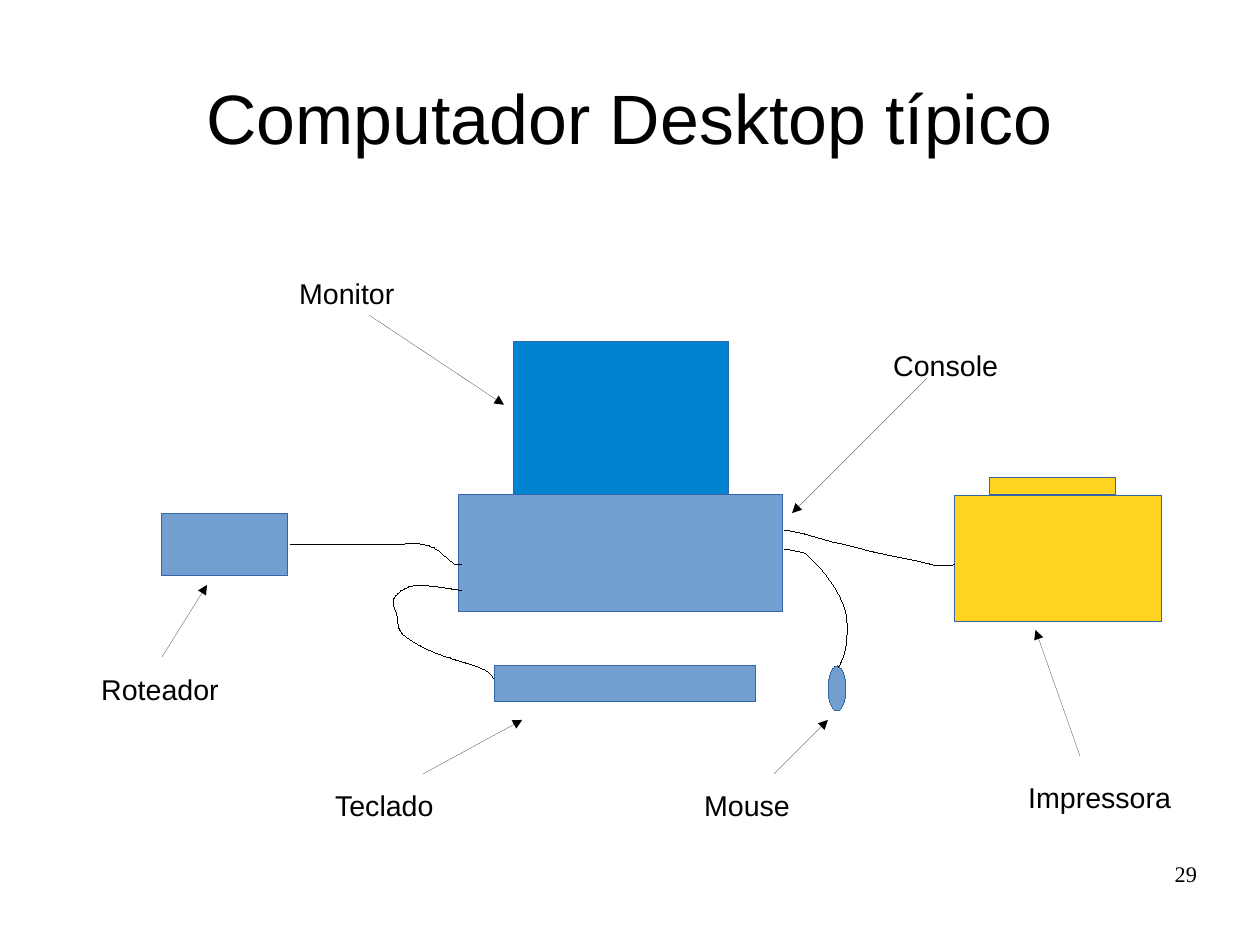
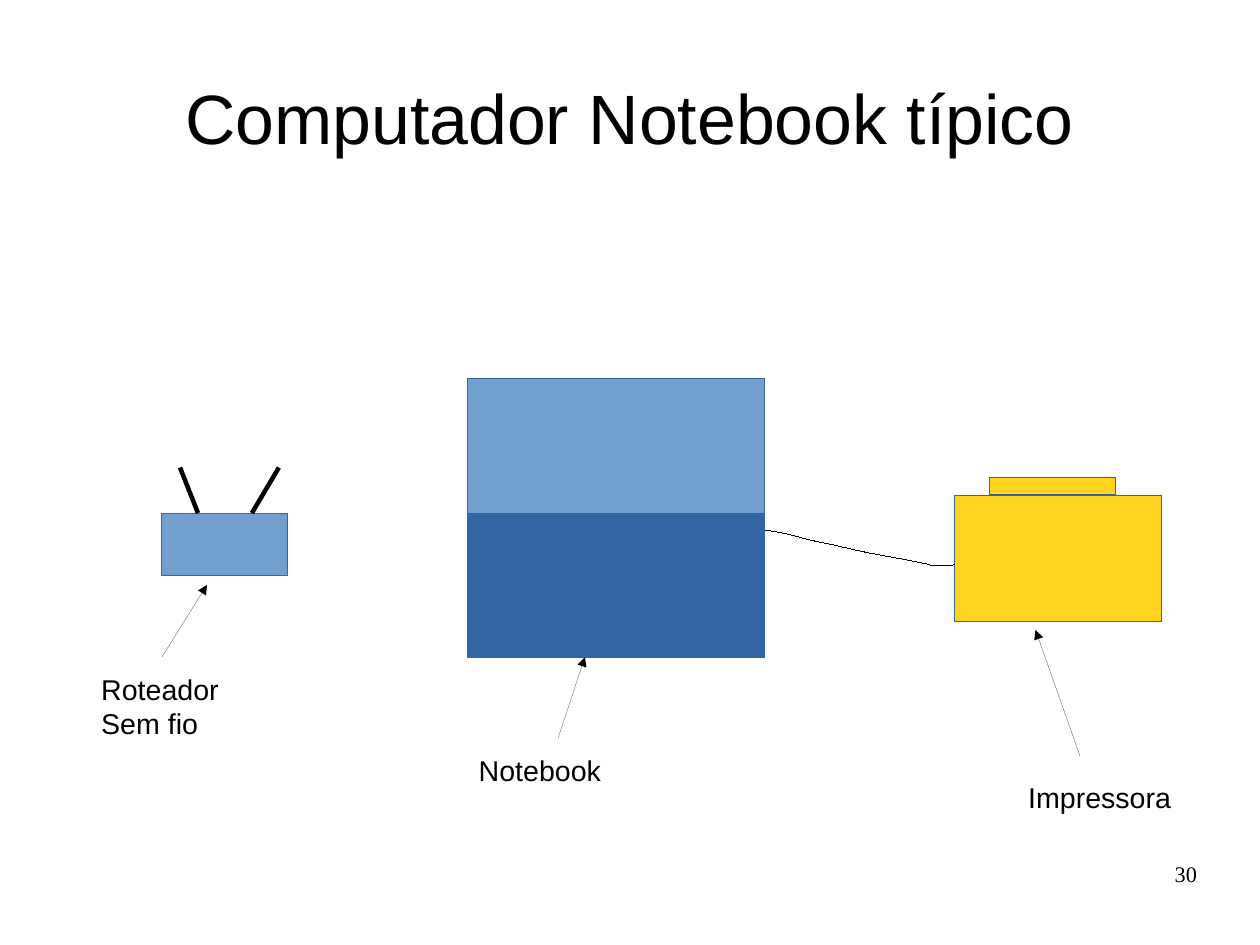
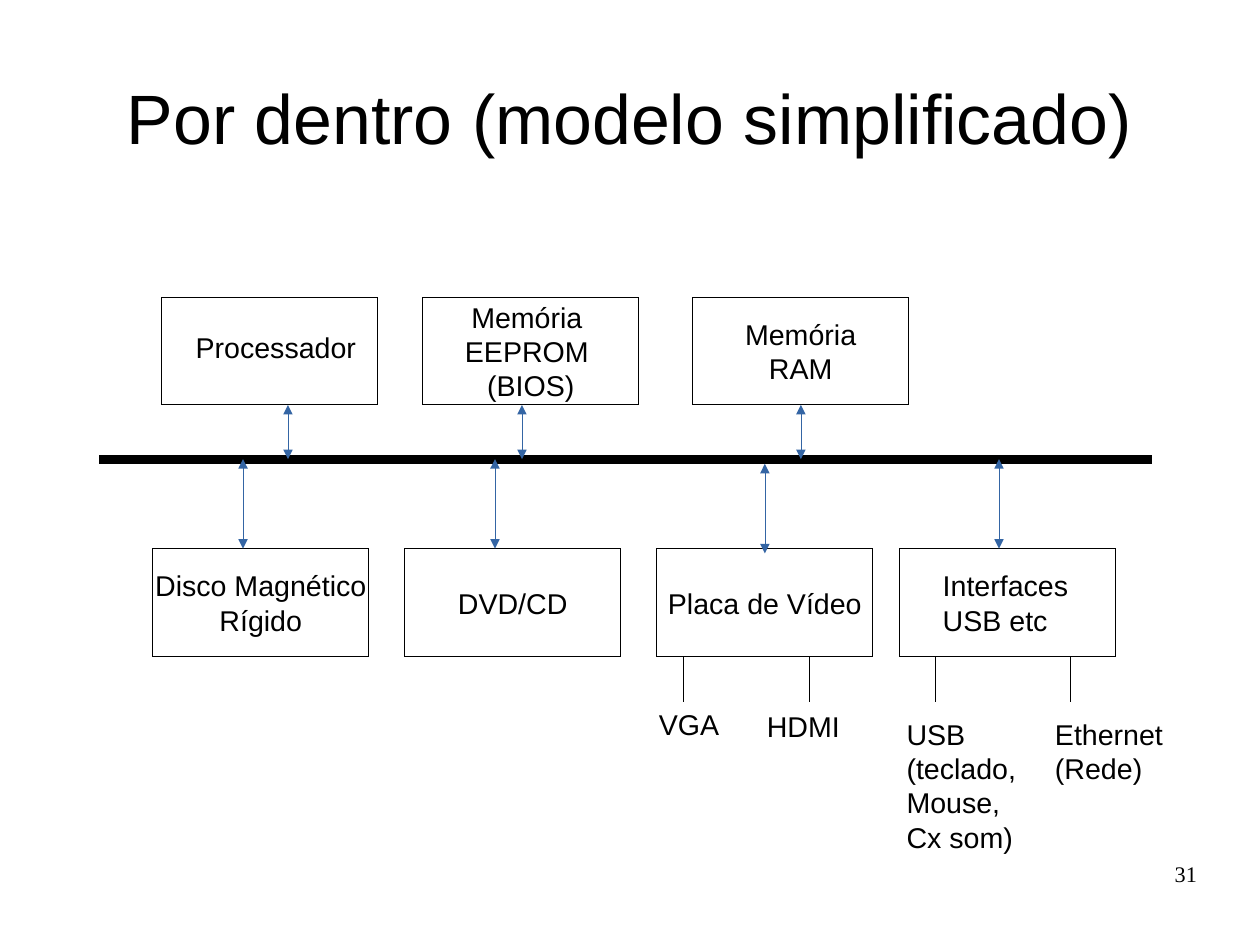
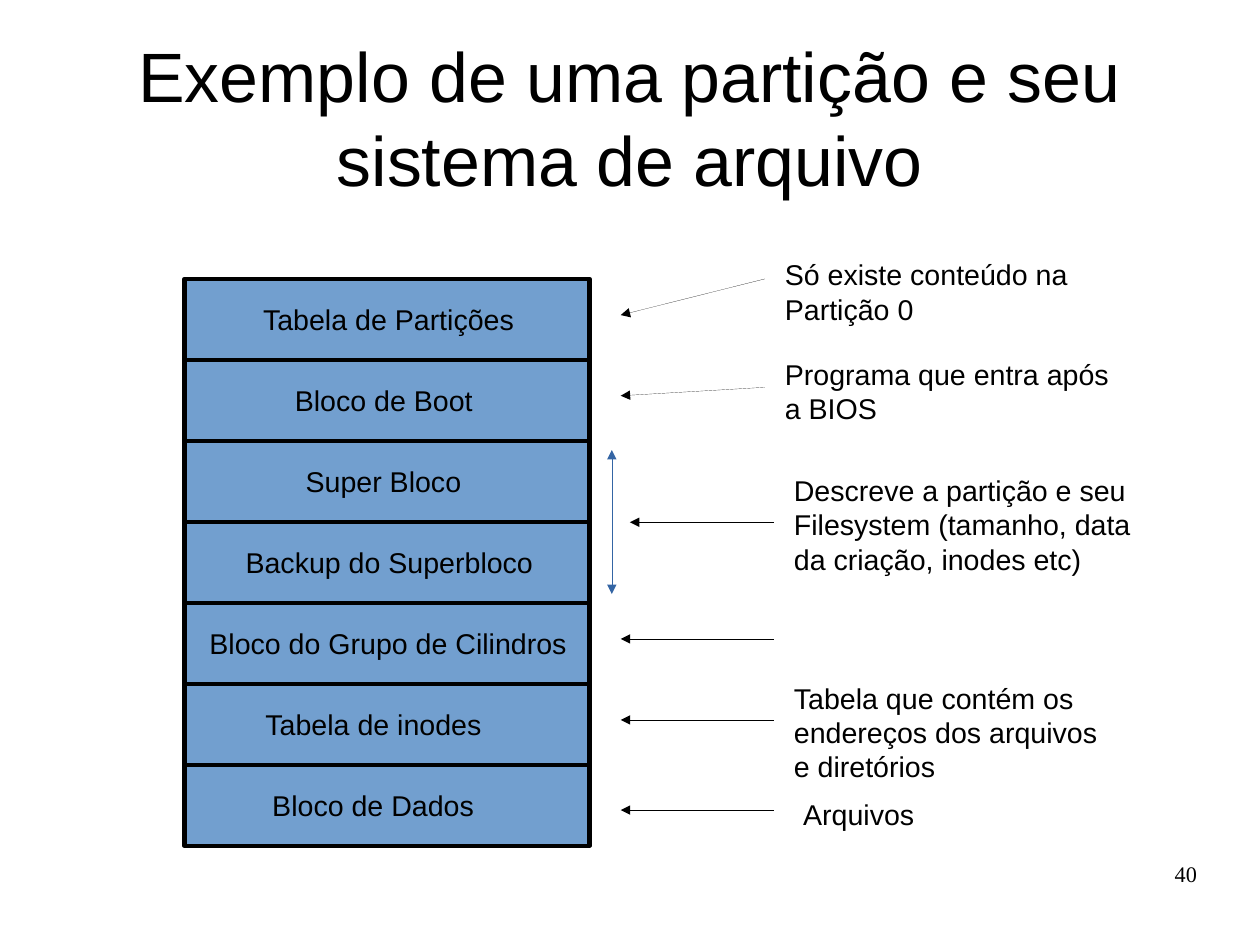
from dataclasses import dataclass

from lxml.etree import SubElement
from pptx import Presentation
from pptx.dml.color import RGBColor
from pptx.enum.shapes import MSO_CONNECTOR, MSO_SHAPE
from pptx.enum.text import MSO_ANCHOR, MSO_AUTO_SIZE, PP_ALIGN
from pptx.oxml.ns import qn
from pptx.util import Pt


@dataclass(frozen=True)
class Theme:
    black: RGBColor = RGBColor.from_string("000000")
    white: RGBColor = RGBColor.from_string("FFFFFF")
    light: RGBColor = RGBColor.from_string("729FCF")
    dark: RGBColor = RGBColor.from_string("3465A4")
    screen: RGBColor = RGBColor.from_string("0084D1")
    yellow: RGBColor = RGBColor.from_string("FFD320")
    font: str = "Arial"
    number_font: str = "Times New Roman"
    title_size: float = 44
    text_size: float = 18
    number_size: float = 14
    hairline: float = 0
    thick: float = 2.83
    bus: float = 5.67


T = Theme()
NO_MARGINS = {f"margin_{side}": 0 for side in ("left", "top", "right", "bottom")}


# Text
def set_all(target, values):
    for name, value in values.items():
        setattr(target, name, value)


def write(tf, text, size=T.text_size, font=T.font, align=PP_ALIGN.LEFT, **frame):
    set_all(tf, {"word_wrap": True, "auto_size": MSO_AUTO_SIZE.NONE, **frame})
    for i, line_text in enumerate(text.split("\n")):
        p = tf.paragraphs[0] if i == 0 else tf.add_paragraph()
        p.alignment = align
        r = p.add_run()
        r.text = line_text
        set_all(r.font, {"size": Pt(size), "name": font})
        r.font.color.rgb = T.black


def label(s, x, y, w, text):
    lines = text.count("\n") + 1
    box = s.shapes.add_textbox(Pt(x), Pt(y), Pt(w), Pt(7 + 20.5 * lines))
    write(box.text_frame, text)


def new_slide(prs, title, number):
    s = prs.slides.add_slide(prs.slide_layouts[5])
    set_all(s.shapes.title, {"left": Pt(39.7), "top": Pt(23.7),
                             "width": Pt(714.3), "height": Pt(99.4)})
    write(s.shapes.title.text_frame, title, T.title_size, align=PP_ALIGN.CENTER,
          vertical_anchor=MSO_ANCHOR.MIDDLE, **NO_MARGINS)
    box = s.shapes.add_textbox(Pt(569), Pt(542), Pt(185), Pt(41))
    write(box.text_frame, str(number), T.number_size, T.number_font,
          PP_ALIGN.RIGHT, **NO_MARGINS)
    return s


# Shapes and lines
def stroke(sp, color, width):
    """Colour the outline; a zero width is stored too, as a hairline."""
    sp.line.color.rgb = color
    ln = sp._element.spPr.find(qn("a:ln"))
    ln.set("w", str(int(Pt(width))))
    return ln


def block(s, x, y, w, h, fill, color=T.dark, width=T.hairline,
          kind=MSO_SHAPE.RECTANGLE):
    sp = s.shapes.add_shape(kind, Pt(x), Pt(y), Pt(w), Pt(h))
    sp.shadow.inherit = False
    sp.fill.solid()
    sp.fill.fore_color.rgb = fill
    stroke(sp, color, width)
    return sp


def block_text(sp, text, indent=None, raised=0):
    """Centre the text, or start it at an indent from the left edge."""
    frame = {**NO_MARGINS, "margin_left": Pt(indent or 0),
             "margin_bottom": Pt(raised), "vertical_anchor": MSO_ANCHOR.MIDDLE}
    align = PP_ALIGN.CENTER if indent is None else PP_ALIGN.LEFT
    write(sp.text_frame, text, align=align, **frame)


def line(s, start, end, color=T.black, width=T.hairline, heads=()):
    c = s.shapes.add_connector(MSO_CONNECTOR.STRAIGHT,
                               *(Pt(v) for v in (*start, *end)))
    ln = stroke(c, color, width)
    for head in heads:
        SubElement(ln, qn(f"a:{head}"), type="triangle")
    SubElement(c._element.spPr, qn("a:effectLst"))


def arrow(s, start, end):
    line(s, start, end, heads=("tailEnd",))


def double_arrow(s, x, top, bottom):
    line(s, (x, top), (x, bottom), T.dark, heads=("headEnd", "tailEnd"))


def bezier(points, steps=10):
    for i in range(1, steps + 1):
        t = i / steps
        weights = ((1 - t) ** 3, 3 * t * (1 - t) ** 2, 3 * t * t * (1 - t), t ** 3)
        yield tuple(sum(w * pt[axis] for w, pt in zip(weights, points))
                    for axis in (0, 1))


def cable(s, curved, straight):
    """Draw joined cubic curves, then straight pieces."""
    points = []
    for i in range(0, len(curved) - 1, 3):
        points += bezier(curved[i:i + 4])
    start, *rest = [(Pt(x), Pt(y)) for x, y in [curved[0], *points, *straight]]
    fb = s.shapes.build_freeform(*start, scale=1.0)
    fb.add_line_segments(rest, close=False)
    sp = fb.convert_to_shape()
    sp.shadow.inherit = False
    sp.fill.background()
    stroke(sp, T.black, T.hairline)


# Devices found on both computer slides
def printer(s, cable_start):
    left = 601
    block(s, left, 311.8, 130.4, 79.4, T.yellow)
    block(s, 623.6, 300.5, 79.4, 11.3, T.yellow)
    stretch = (left - cable_start) / 107

    def fit(points):
        return [(left - (left - x) * stretch, y) for x, y in points]

    cable(s, fit([(494, 334), (504.5, 335), (515, 339), (525, 341.5),
                  (535.5, 343.5), (546, 347), (556.5, 349),
                  (567.5, 351.5), (578, 353), (589, 356.2)]),
          fit([(599, 356.2), (601, 355.7)]))
    arrow(s, (680.3, 476.2), (652.3, 396.8))
    label(s, 640.6, 487.5, 119, "Impressora")


def router(s, text):
    block(s, 102, 323.2, 79.4, 39.6, T.light)
    arrow(s, (102, 413.9), (130.4, 368.5))
    label(s, 56.7, 419.5, 130, text)


# Slides
def desktop_slide(prs):
    s = new_slide(prs, "Computador Desktop típico", 29)
    block(s, 289.1, 311.8, 204.1, 73.7, T.light)
    block(s, 323.2, 215.4, 136, 96.4, T.screen)
    block(s, 311.8, 419.5, 164.4, 22.7, T.light)
    block(s, 521.6, 419.5, 11.3, 28.3, T.light, kind=MSO_SHAPE.OVAL)
    printer(s, 494)
    router(s, "Roteador")
    # Keyboard, mouse and router cables
    cable(s, [(311, 427.5), (308, 420), (294, 418.5), (283.5, 414.5),
              (272, 411), (262, 406), (255, 400.5),
              (248.5, 395.5), (252, 389), (248.5, 383),
              (245, 376.5), (252.5, 369.5), (264, 368.5)],
          [(274.5, 369.5), (284.5, 371), (291, 372)])
    cable(s, [(528, 420.5), (534, 411), (534, 399.5), (533.5, 389.5),
              (532, 378), (525, 368), (517.5, 358.5)],
          [(507.5, 348.5), (497.5, 346.3), (494, 346.3)])
    cable(s, [(183, 343.2), (193, 343.2), (204, 343.2), (214, 343.2),
              (224.5, 343.2), (235, 342.8), (245.5, 343.2),
              (255.5, 343.2), (267, 340), (276.5, 347)],
          [(286.5, 355.5), (291, 355.5)])
    for text, x, y, start, end in (
            ("Monitor", 181.4, 170, (232.5, 198.5), (317.5, 255)),
            ("Console", 555.6, 215.5, (584, 238.2), (499, 323.2)),
            ("Mouse", 436.5, 493, (487.5, 487.5), (521.5, 453.5)),
            ("Teclado", 204, 493, (266.5, 487.5), (329, 453.5))):
        arrow(s, start, end)
        label(s, x, y, 113, text)


def notebook_slide(prs):
    s = new_slide(prs, "Computador Notebook típico", 30)
    printer(s, 481.7)
    router(s, "Roteador\nSem fio")
    for tip, foot in ((113.4, 124.7), (175.7, 158.7)):
        line(s, (tip, 294.5), (foot, 323.2), width=T.thick)
    block(s, 294.5, 323.2, 187.2, 90.7, T.dark)
    block(s, 294.5, 238.2, 187.2, 85, T.light)
    arrow(s, (351.5, 465), (368.5, 413.9))
    label(s, 294.5, 470.6, 113, "Notebook")


def inside_slide(prs):
    s = new_slide(prs, "Por dentro (modelo simplificado)", 31)
    bus_y, top_y, bottom_y, w, h = 289.2, 187.1, 345.6, 136, 68
    line(s, (62.4, bus_y), (725.7, bus_y), width=T.bus)
    # Parts: text, left, top, indent, raised
    for text, x, y, indent, raised in (
            ("Processador", 102, top_y, 21.3, 4.5),
            ("Memória \nEEPROM \n(BIOS)", 266.4, top_y, None, 0),
            ("Memória\nRAM", 436.4, top_y, None, 0),
            ("Disco Magnético\nRígido", 96.3, bottom_y, None, 0),
            ("DVD/CD", 255, bottom_y, None, 0),
            ("Placa de Vídeo", 413.8, bottom_y, None, 0),
            ("Interfaces\nUSB etc", 566.6, bottom_y, 27.3, 0)):
        block_text(block(s, x, y, w, h, T.white, T.black), text, indent, raised)
    # Links to the bus
    for x in (181.4, 328.8, 504.5):
        double_arrow(s, x, top_y + h, bus_y)
    for x, drop in ((153.1, 0), (311.8, 0), (481.8, 3), (629.3, 0)):
        double_arrow(s, x, bus_y + drop, bottom_y + drop)
    # Ports
    for port_x, x, y, width, text in (
            (430.6, 408, 442, 60, "VGA"),
            (510.2, 476, 443, 66, "HDMI"),
            (589.5, 564, 448, 91, "USB\n(teclado,\nMouse,\nCx som)"),
            (674.5, 657.5, 448, 88, "Ethernet\n(Rede)")):
        line(s, (port_x, bottom_y + h), (port_x, 442.2))
        label(s, x, y, width, text)


def partition_slide(prs):
    s = new_slide(prs, "Exemplo de uma partição e seu sistema de arquivo", 40)
    pitch = 51.02
    for i, (text, indent) in enumerate((
            ("Tabela de Partições", 49.5), ("Bloco de Boot", 69.5),
            ("Super Bloco", 76.3), ("Backup do Superbloco", 38.5),
            ("Bloco do Grupo de Cilindros", 15.7), ("Tabela de inodes", 51),
            ("Bloco de Dados", 55.3))):
        sp = block(s, 116.2, 175.7 + i * pitch, 255.1, pitch,
                   T.light, T.black, T.thick)
        block_text(sp, text, indent)
    for start, end in (((481.8, 175.7), (391, 198.5)), ((481.8, 244), (391, 249.3)),
                       ((487.5, 329), (396.8, 329)), ((487.5, 402.5), (391, 402.5)),
                       ((487.5, 453.5), (391, 453.5)), ((487.5, 510.3), (391, 510.3))):
        arrow(s, start, end)
    double_arrow(s, 385.4, 283.5, 374.2)
    for x, y, text in (
            (487.3, 158.5, "Só existe conteúdo na\nPartição 0"),
            (487.3, 221, "Programa que entra após\na BIOS"),
            (493, 294.5, "Descreve a partição e seu\nFilesystem (tamanho, data\n"
                         "da criação, inodes etc)"),
            (493, 425.2, "Tabela que contém os\nendereços dos arquivos\n"
                         "e diretórios"),
            (498.8, 498.2, "Arquivos")):
        label(s, x, y, 240, text)


def main():
    prs = Presentation()
    set_all(prs, {"slide_width": Pt(793.7), "slide_height": Pt(595.28)})
    for build in (desktop_slide, notebook_slide, inside_slide, partition_slide):
        build(prs)
    prs.save("out.pptx")


if __name__ == "__main__":
    main()
